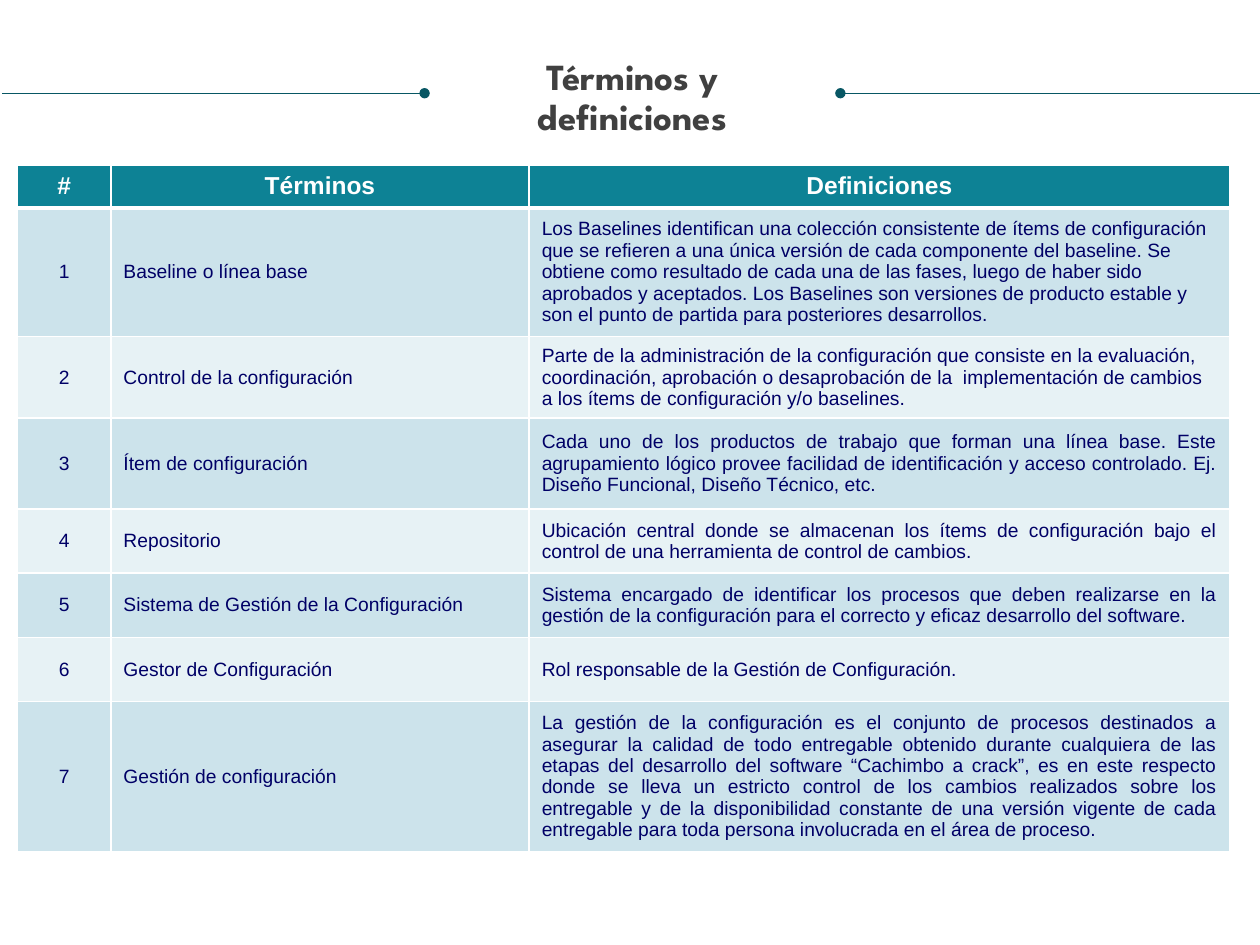
from lxml import etree
from pptx import Presentation
from pptx.dml.color import RGBColor
from pptx.enum.shapes import MSO_CONNECTOR
from pptx.enum.text import MSO_ANCHOR, MSO_AUTO_SIZE, PP_ALIGN
from pptx.oxml.ns import qn
from pptx.util import Inches, Pt

LEFT, CENTER, JUSTIFY = PP_ALIGN.LEFT, PP_ALIGN.CENTER, PP_ALIGN.JUSTIFY
TOP, MIDDLE = MSO_ANCHOR.TOP, MSO_ANCHOR.MIDDLE
STRAIGHT = MSO_CONNECTOR.STRAIGHT
TITLE_ONLY = 5

COLORS = {
    "title": "404040", "rule": "085764", "header": "0D8295", "white": "FFFFFF",
    "text": "000066", "odd": "CCE3EB", "even": "E7F2F5",
}
FONTS = {
    "title": {"name": "League Spartan", "size": Pt(21), "bold": True},
    "header": {"name": "Arial", "size": Pt(14), "bold": True},
    "body": {"name": "Arial", "size": Pt(11), "bold": False},
}
NO_INSETS = {f"margin_{side}": 0 for side in ("left", "top", "right", "bottom")}
HEADER_INSETS = {
    "margin_left": Inches(0.07), "margin_right": Inches(0.07),
    "margin_top": Inches(0.04), "margin_bottom": Inches(0.04),
}

HEADINGS = ("#", "Términos", "Definiciones")
COLUMN_WIDTHS = (0.74, 3.32, 5.56)
ROW_HEIGHTS = (0.34, 1.02, 0.65, 0.72, 0.51, 0.51, 0.51, 1.19)
# Term, definition, alignment of the definition
TERMS = (
    ("Baseline o línea base",
     "Los Baselines identifican una colección consistente de ítems de configuración "
     "que se refieren a una única versión de cada componente del baseline. Se obtiene "
     "como resultado de cada una de las fases, luego de haber sido aprobados y "
     "aceptados. Los Baselines son versiones de producto estable y son el punto de "
     "partida para posteriores desarrollos.", LEFT),
    ("Control de la configuración",
     "Parte de la administración de la configuración que consiste en la evaluación, "
     "coordinación, aprobación o desaprobación de la  implementación de cambios a los "
     "ítems de configuración y/o baselines.", LEFT),
    ("Ítem de configuración",
     "Cada uno de los productos de trabajo que forman una línea base. Este "
     "agrupamiento lógico provee facilidad de identificación y acceso controlado. "
     "Ej. Diseño Funcional, Diseño Técnico, etc.", JUSTIFY),
    ("Repositorio",
     "Ubicación central donde se almacenan los ítems de configuración bajo el control "
     "de una herramienta de control de cambios.", JUSTIFY),
    ("Sistema de Gestión de la Configuración",
     "Sistema encargado de identificar los procesos que deben realizarse en la "
     "gestión de la configuración para el correcto y eficaz desarrollo del software.",
     JUSTIFY),
    ("Gestor de Configuración", "Rol responsable de la Gestión de Configuración.", LEFT),
    ("Gestión de configuración",
     "La gestión de la configuración es el conjunto de procesos destinados a asegurar "
     "la calidad de todo entregable obtenido durante cualquiera de las etapas del "
     "desarrollo del software “Cachimbo a crack”, es en este respecto donde se lleva "
     "un estricto control de los cambios realizados sobre los entregable y de la "
     "disponibilidad constante de una versión vigente de cada entregable para toda "
     "persona involucrada en el área de proceso.", JUSTIFY),
)


def apply(target, values):
    for name, value in values.items():
        setattr(target, name, value)


def rgb(color):
    return RGBColor.from_string(COLORS[color])


class SlideBuilder:
    """Holds the slide; positions are in slide units of one inch."""

    def __init__(self, presentation):
        self.slide = presentation.slides.add_slide(presentation.slide_layouts[TITLE_ONLY])

    def add_text(self, paragraph, text, font, color, **layout):
        run = paragraph.add_run()
        run.text = text
        apply(run.font, FONTS[font])
        run.font.color.rgb = rgb(color)
        apply(paragraph, layout)

    def title(self, lines, left, top, width, height):
        shape = self.slide.shapes.title
        apply(shape, {"left": Inches(left), "top": Inches(top),
                      "width": Inches(width), "height": Inches(height)})
        frame = shape.text_frame
        apply(frame, {"word_wrap": True, "vertical_anchor": TOP,
                      "auto_size": MSO_AUTO_SIZE.NONE, **NO_INSETS})
        for index, line in enumerate(lines):
            paragraph = frame.add_paragraph() if index else frame.paragraphs[0]
            self.add_text(paragraph, line, "title", "title",
                          alignment=CENTER, line_spacing=0.9)

    def dotted_rule(self, start, end, y, dot_end):
        connector = self.slide.shapes.add_connector(
            STRAIGHT, Inches(start), Inches(y), Inches(end), Inches(y))
        connector.line.color.rgb = rgb("rule")
        connector.line.width = Pt(0.5)
        line = connector.line._get_or_add_ln()
        etree.SubElement(line, qn(f"a:{dot_end}"), type="oval")
        etree.SubElement(connector._element.spPr, qn("a:effectLst"))

    def borders(self, cell, widths):
        properties = cell._tc.get_or_add_tcPr()
        for side, width in widths.items():
            line = etree.SubElement(properties, qn(f"a:ln{side}"), w=str(Pt(width)))
            fill = etree.SubElement(line, qn("a:solidFill"))
            etree.SubElement(fill, qn("a:srgbClr"), val=COLORS["white"])

    def cell(self, cell, text, font, color, fill, alignment, bottom=1):
        self.borders(cell, {"L": 1, "R": 1, "T": 1, "B": bottom})
        cell.fill.solid()
        cell.fill.fore_color.rgb = rgb(fill)
        cell.vertical_anchor = MIDDLE
        self.add_text(cell.text_frame.paragraphs[0], text, font, color,
                      alignment=alignment, space_before=Pt(FONTS[font]["size"].pt * 0.2))

    def table(self, left, top):
        table = self.slide.shapes.add_table(
            len(ROW_HEIGHTS), len(COLUMN_WIDTHS), Inches(left), Inches(top),
            Inches(sum(COLUMN_WIDTHS)), Inches(sum(ROW_HEIGHTS))).table
        for column, width in zip(table.columns, COLUMN_WIDTHS):
            column.width = Inches(width)
        for row, height in zip(table.rows, ROW_HEIGHTS):
            row.height = Inches(height)

        # Header row
        for cell, heading in zip(table.rows[0].cells, HEADINGS):
            apply(cell, HEADER_INSETS)
            self.cell(cell, heading, "header", "white", "header", CENTER, bottom=3)

        # Banded rows of terms
        for number, (term, definition, alignment) in enumerate(TERMS, start=1):
            fill = "odd" if number % 2 else "even"
            contents = ((str(number), CENTER), (term, LEFT), (definition, alignment))
            for cell, (text, align) in zip(table.rows[number].cells, contents):
                self.cell(cell, text, "body", "text", fill, align)


def main():
    presentation = Presentation()
    presentation.slide_width, presentation.slide_height = Inches(10), Inches(7.5)
    builder = SlideBuilder(presentation)

    # Heading between two dotted rules
    builder.dotted_rule(6.67, 10.02, 0.74, "headEnd")
    builder.title(("Términos y", "definiciones"), 0.21, 0.47, 9.62, 0.95)
    builder.dotted_rule(0.02, 3.37, 0.74, "tailEnd")

    # Glossary
    builder.table(0.14, 1.31)
    presentation.save("out.pptx")


if __name__ == "__main__":
    main()
